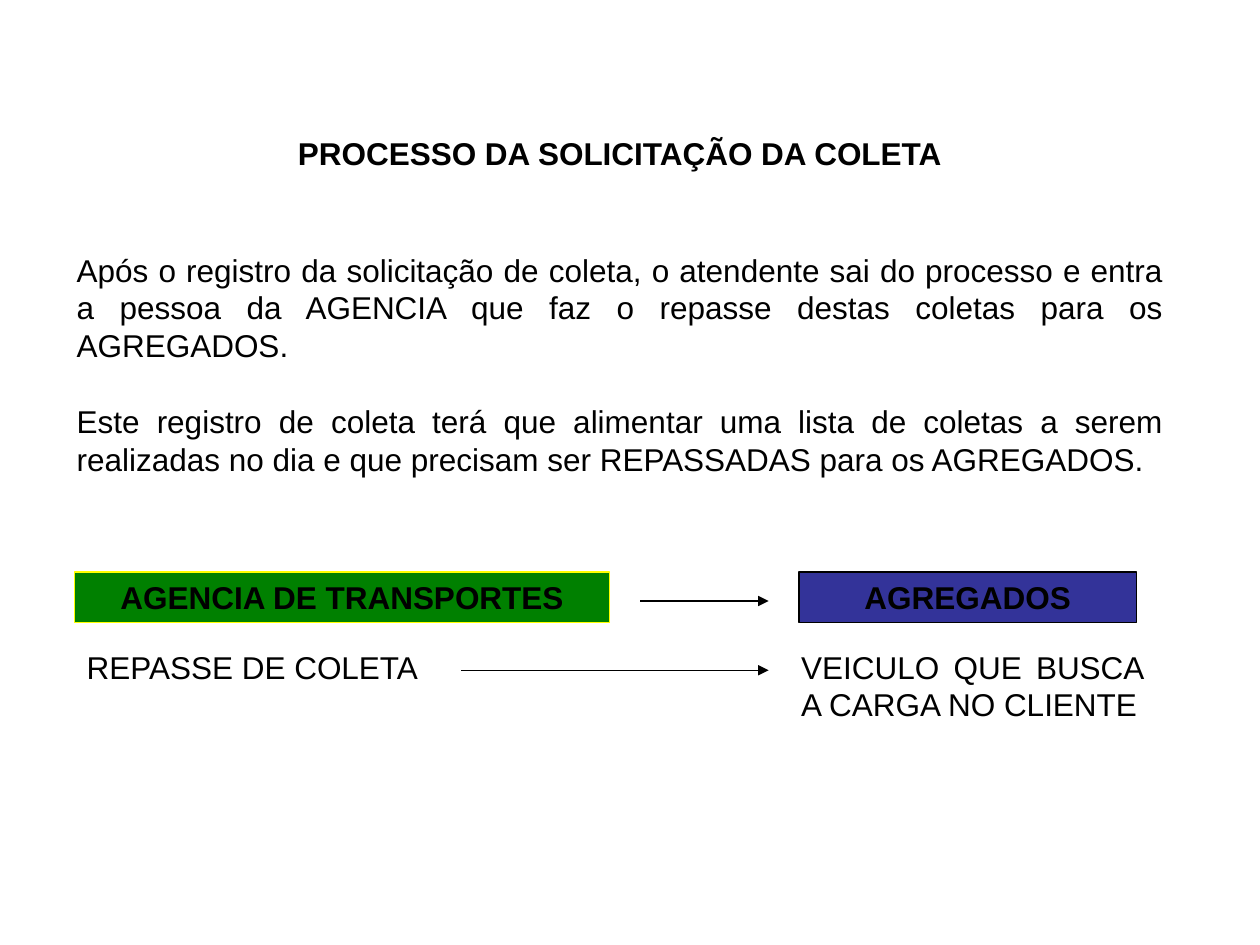
import pptx
import pptx.dml.color
import pptx.enum.shapes
import pptx.enum.text
import pptx.oxml
import pptx.oxml.ns
import pptx.util
from pptx.util import Inches

COLORS = {"text": "000000", "agency": "008000", "agency_line": "FFFF00",
          "carriers": "333399", "line": "000000"}
ALIGN = pptx.enum.text.PP_ALIGN


def rgb(name):
    """Return the named colour."""
    return pptx.dml.color.RGBColor.from_string(COLORS[name])


def write(shape, paragraphs, align, bold=False, gap=0):
    """Fill a shape with paragraphs set in the slide's text style."""
    frame = shape.text_frame
    frame.word_wrap = True
    frame.auto_size = pptx.enum.text.MSO_AUTO_SIZE.NONE
    frame.vertical_anchor = pptx.enum.text.MSO_ANCHOR.TOP
    frame.margin_left = frame.margin_right = Inches(0.1)
    frame.margin_top = frame.margin_bottom = Inches(0.05)
    for index, words in enumerate(paragraphs):
        paragraph = frame.add_paragraph() if index else frame.paragraphs[0]
        paragraph.alignment = align
        paragraph.space_before = pptx.util.Pt(gap if index else 0)
        run = paragraph.add_run()
        run.text = words
        run.font.name = "Arial"
        run.font.size = pptx.util.Pt(18)
        run.font.bold = bold
        run.font.color.rgb = rgb("text")


def add_title(slide, box, words):
    """Place the slide title in its box."""
    title = slide.shapes.title
    title.left, title.top, title.width, title.height = map(Inches, box)
    write(title, [words], ALIGN.CENTER, bold=True)


def add_text(slide, box, paragraphs, align, gap=0):
    """Place a plain text box."""
    text = slide.shapes.add_textbox(*map(Inches, box))
    write(text, paragraphs, align, gap=gap)


def add_party(slide, box, words, fill, line):
    """Place a coloured box naming one party."""
    party = slide.shapes.add_shape(
        pptx.enum.shapes.MSO_SHAPE.RECTANGLE, *map(Inches, box))
    party.shadow.inherit = False
    party.fill.solid()
    party.fill.fore_color.rgb = rgb(fill)
    party.line.color.rgb = rgb(line)
    party.line.width = pptx.util.Pt(0.75)
    write(party, [words], ALIGN.CENTER, bold=True)


def add_arrow(slide, start, end, y):
    """Draw a horizontal arrow pointing right."""
    arrow = slide.shapes.add_connector(
        pptx.enum.shapes.MSO_CONNECTOR.STRAIGHT,
        Inches(start), Inches(y), Inches(end), Inches(y))
    arrow.line.color.rgb = rgb("line")
    arrow.line.width = pptx.util.Pt(0.75)
    qn = pptx.oxml.ns.qn
    tail = arrow.line._get_or_add_ln().makeelement(qn("a:tailEnd"), {"type": "triangle"})
    arrow.line._get_or_add_ln().append(tail)
    properties = arrow._element.spPr
    properties.append(properties.makeelement(qn("a:effectLst"), {}))


def add_flow(slide, left, top):
    """Place the handover from agency to carriers below the text."""
    arrow_end = left + 5.51
    add_party(slide, (left, top, 4.25, 0.4), "AGENCIA DE TRANSPORTES",
              "agency", "agency_line")
    add_party(slide, (left + 5.75, top, 2.68, 0.4), "AGREGADOS",
              "carriers", "line")
    add_arrow(slide, left + 4.49, arrow_end, top + 0.23)
    add_text(slide, (left, top + 0.55, 4.1, 0.4), ["REPASSE DE COLETA"], ALIGN.LEFT)
    add_text(slide, (left + 5.67, top + 0.55, 2.91, 0.7),
             ["VEICULO QUE BUSCA A CARGA NO CLIENTE"], ALIGN.JUSTIFY)
    add_arrow(slide, left + 3.07, arrow_end, top + 0.78)


def main():
    """Build the slide and save it."""
    deck = pptx.Presentation()
    deck.slide_width, deck.slide_height = Inches(10), Inches(7.5)
    slide = deck.slides.add_slide(deck.slide_layouts[5])
    add_title(slide, (0.51, 1.01, 8.82, 0.4), "PROCESSO DA SOLICITAÇÃO DA COLETA")
    add_text(slide, (0.51, 1.94, 8.82, 1.9), [
        "Após o registro da solicitação de coleta, o atendente sai do processo e "
        "entra a pessoa da AGENCIA que faz o repasse destas coletas para os AGREGADOS.",
        "Este registro de coleta terá que alimentar uma lista de coletas a serem "
        "realizadas no dia e que precisam ser REPASSADAS para os AGREGADOS.",
    ], ALIGN.JUSTIFY, gap=21.6)
    add_flow(slide, 0.59, 4.54)
    deck.save("out.pptx")


if __name__ == "__main__":
    main()
